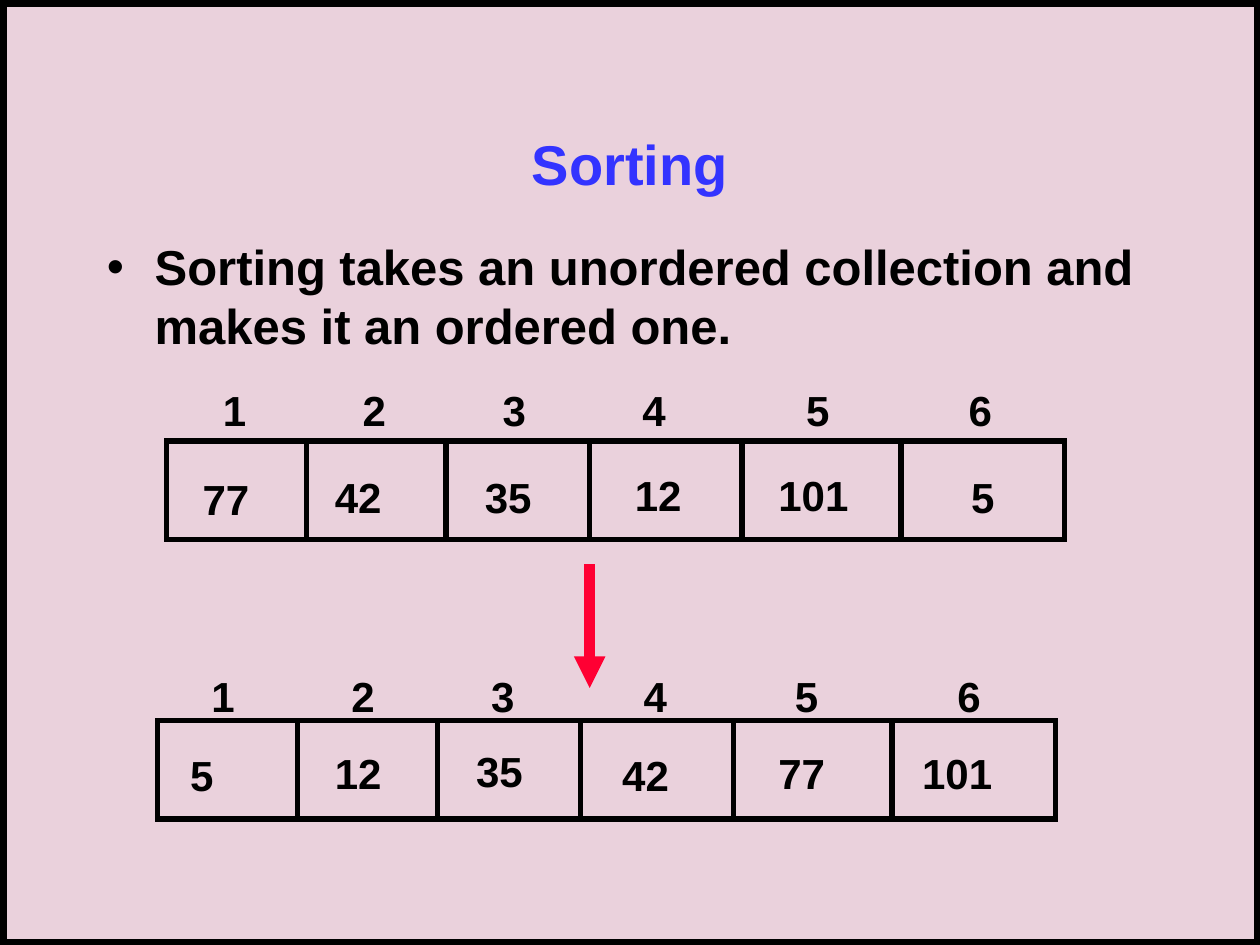
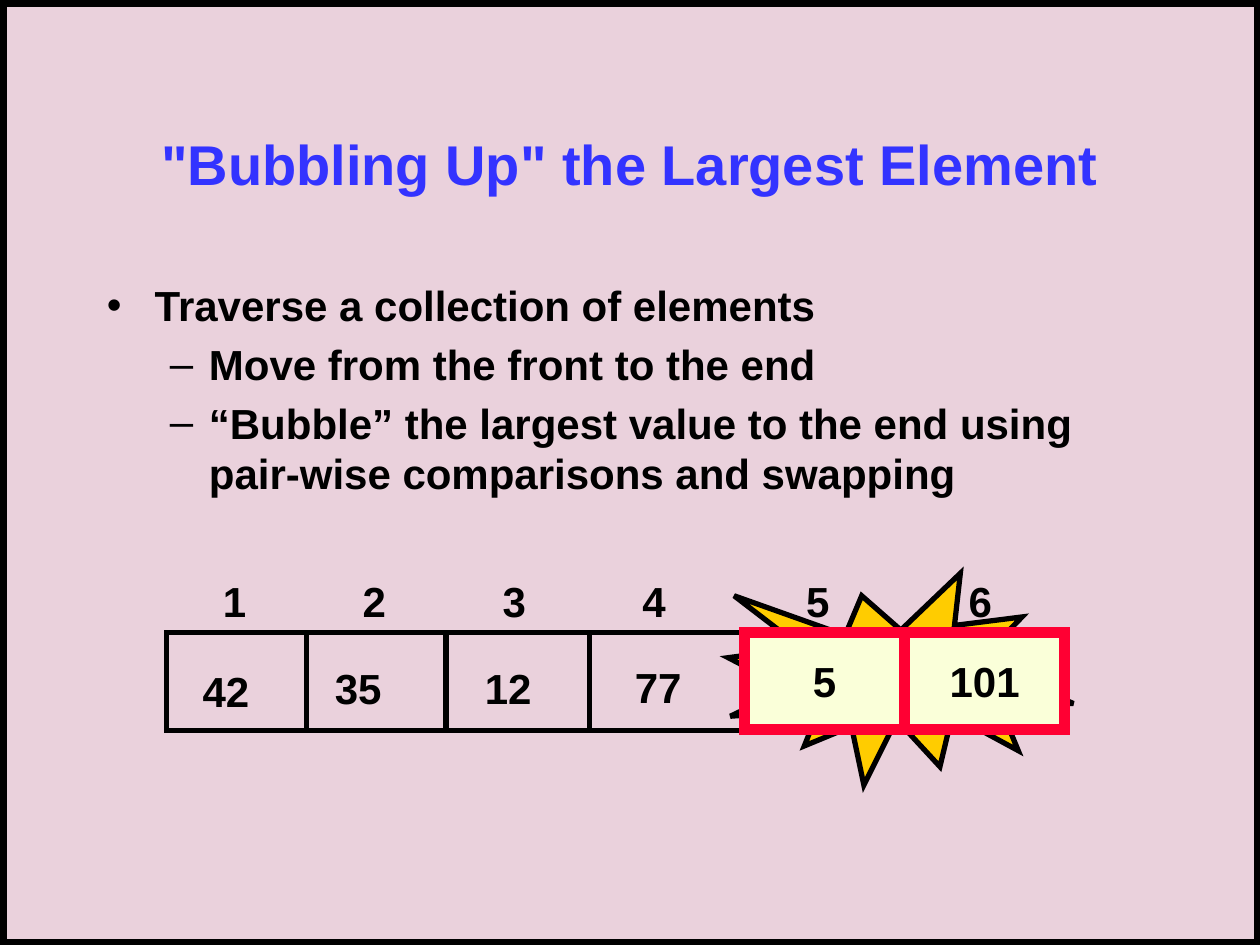
import pptx
import pptx.util
import pptx.dml.color
import pptx.enum.shapes
import pptx.enum.text
import pptx.oxml.ns
import lxml.etree

Inches = pptx.util.Inches
Pt = pptx.util.Pt
ShapeType = pptx.enum.shapes.MSO_SHAPE
Align = pptx.enum.text.PP_ALIGN
Anchor = pptx.enum.text.MSO_ANCHOR

COLORS = {
    "background": "EAD1DC",
    "ink": "000000",
    "title": "3333FF",
    "highlight": "FF0033",
    "burst": "FFCC00",
    "pair": "FAFFD9",
}
FONT = "Arial"
BODY_SIZE = 24
BULLETS = [("•", 0.38, -0.38, 0), ("–", 0.81, -0.31, 4.8)]
ROW_WIDTH, ROW_HEIGHT = 7.13, 0.78
DIVIDERS = [1.11, 2.22, 3.36, 4.57, 5.83]
INDEX_TABS = [1.11, 2.22, 3.33, 4.63, 5.92]
SORTED_INDEX_TABS = [1.11, 2.22, 3.43, 4.63, 5.92]
VALUE_OFFSETS = [(0.19, 0.21), (1.24, 0.19), (2.43, 0.19), (3.62, 0.18), (4.76, 0.18), (6.29, 0.19)]
SORTED_VALUE_OFFSETS = [(0.16, 0.18), (1.31, 0.16), (2.43, 0.15), (3.59, 0.18), (4.83, 0.16), (5.97, 0.16)]


def rgb(name):
    return pptx.dml.color.RGBColor.from_string(COLORS[name])


def add_element(parent, tag, **attributes):
    element = lxml.etree.SubElement(parent, pptx.oxml.ns.qn(tag))
    for name, value in attributes.items():
        element.set(name, str(value))
    return element


def write_text(paragraph, text, size=BODY_SIZE, color="ink", align=Align.LEFT):
    paragraph.alignment = align
    run = paragraph.add_run()
    run.text = text
    run.font.name = FONT
    run.font.size = Pt(size)
    run.font.bold = True
    run.font.color.rgb = rgb(color)


def add_text_frame(slide, left, top, width, height, anchor=Anchor.TOP, wrap=True):
    box = slide.shapes.add_textbox(Inches(left), Inches(top), Inches(width), Inches(height))
    frame = box.text_frame
    frame.word_wrap = wrap
    frame.vertical_anchor = anchor
    return frame


def add_outlined_shape(slide, kind, left, top, width, height, fill=None, line="ink", weight=3):
    shape = slide.shapes.add_shape(kind, Inches(left), Inches(top), Inches(width), Inches(height))
    shape.shadow.inherit = False
    if fill:
        shape.fill.solid()
        shape.fill.fore_color.rgb = rgb(fill)
    else:
        shape.fill.background()
    shape.line.color.rgb = rgb(line)
    shape.line.width = Pt(weight)
    add_element(shape.line._get_or_add_ln(), "a:miter", lim=800000)
    return shape


def add_line(slide, start, end, color="ink", weight=3, arrow=False):
    points = [Inches(value) for value in (*start, *end)]
    connector = slide.shapes.add_connector(pptx.enum.shapes.MSO_CONNECTOR.STRAIGHT, *points)
    connector.line.color.rgb = rgb(color)
    connector.line.width = Pt(weight)
    if arrow:
        add_element(connector.line._get_or_add_ln(), "a:tailEnd", type="triangle")
    add_element(connector._element.spPr, "a:effectLst")


def add_base_slide(presentation, title):
    slide = presentation.slides.add_slide(presentation.slide_layouts[6])
    slide.background.fill.solid()
    slide.background.fill.fore_color.rgb = rgb("background")
    add_outlined_shape(slide, ShapeType.RECTANGLE, 0.03, 0.03, 9.95, 7.45, weight=3.75)
    frame = add_text_frame(slide, 0.75, 0.67, 8.5, 1.25, anchor=Anchor.MIDDLE)
    write_text(frame.paragraphs[0], title, size=32, color="title", align=Align.CENTER)
    return slide


def add_bullets(slide, top, height, items, size=BODY_SIZE):
    frame = add_text_frame(slide, 0.75, top, 8.5, height)
    for number, (level, text) in enumerate(items):
        paragraph = frame.add_paragraph() if number else frame.paragraphs[0]
        symbol, margin, indent, space = BULLETS[level]
        paragraph.level = level
        paragraph.space_before = Pt(space)
        write_text(paragraph, text, size=size)
        properties = paragraph._p.get_or_add_pPr()
        properties.set("marL", str(Inches(margin)))
        properties.set("indent", str(Inches(indent)))
        bullet_color = add_element(properties, "a:buClr")
        add_element(bullet_color, "a:srgbClr", val=COLORS["ink"])
        add_element(properties, "a:buFont", typeface=FONT)
        add_element(properties, "a:buChar", char=symbol)


def add_index_labels(slide, left, top, tabs):
    paragraph = add_text_frame(slide, left, top, ROW_WIDTH, 0.5).paragraphs[0]
    write_text(paragraph, "\t".join("123456"))
    tab_list = add_element(paragraph._p.get_or_add_pPr(), "a:tabLst")
    for position in tabs:
        add_element(tab_list, "a:tab", pos=Inches(position), algn="l")


def add_array_row(slide, left, top, values, offsets=VALUE_OFFSETS):
    add_outlined_shape(slide, ShapeType.RECTANGLE, left, top, ROW_WIDTH, ROW_HEIGHT)
    for divider in DIVIDERS:
        add_line(slide, (left + divider, top), (left + divider, top + ROW_HEIGHT))
    for value, (across, down) in zip(values, offsets):
        width = 0.19 * (len(str(value)) + 1)
        frame = add_text_frame(slide, left + across, top + down, width, 0.5, wrap=False)
        write_text(frame.paragraphs[0], str(value))


def add_swapped_pair(slide, left, top, values):
    add_outlined_shape(slide, ShapeType.EXPLOSION1, left - 0.13, top - 0.47, 2.74, 1.68, fill="burst")
    width = 1.27
    for number, value in enumerate(values):
        cell = add_outlined_shape(slide, ShapeType.RECTANGLE, left + number * width, top, width, 0.77,
                                  fill="pair", line="highlight", weight=6)
        cell.text_frame.vertical_anchor = Anchor.MIDDLE
        write_text(cell.text_frame.paragraphs[0], str(value), align=Align.CENTER)


def build_sorting_slide(presentation):
    slide = add_base_slide(presentation, "Sorting")
    add_bullets(slide, 1.83, 4.83, [
        (0, "Sorting takes an unordered collection and makes it an ordered one."),
    ], size=28)
    add_array_row(slide, 1.32, 3.5, [77, 42, 35, 12, 101, 5])
    add_index_labels(slide, 1.58, 5.27, SORTED_INDEX_TABS)
    add_array_row(slide, 1.25, 5.72, [5, 12, 35, 42, 77, 101], offsets=SORTED_VALUE_OFFSETS)
    add_index_labels(slide, 1.67, 3, INDEX_TABS)
    add_line(slide, (4.68, 4.48), (4.68, 5.46), color="highlight", weight=6, arrow=True)


def build_bubbling_slide(presentation):
    slide = add_base_slide(presentation, '"Bubbling Up" the Largest Element')
    add_bullets(slide, 2.17, 4.5, [
        (0, "Traverse a collection of elements"),
        (1, "Move from the front to the end"),
        (1, "“Bubble” the largest value to the end using pair-wise comparisons and swapping"),
    ])
    add_array_row(slide, 1.32, 5.02, [42, 35, 12, 77])
    add_index_labels(slide, 1.67, 4.52, INDEX_TABS)
    add_swapped_pair(slide, 5.91, 5.02, [5, 101])


def main():
    presentation = pptx.Presentation()
    presentation.slide_width = Inches(10)
    presentation.slide_height = Inches(7.5)
    build_sorting_slide(presentation)
    build_bubbling_slide(presentation)
    presentation.save("out.pptx")


if __name__ == "__main__":
    main()
